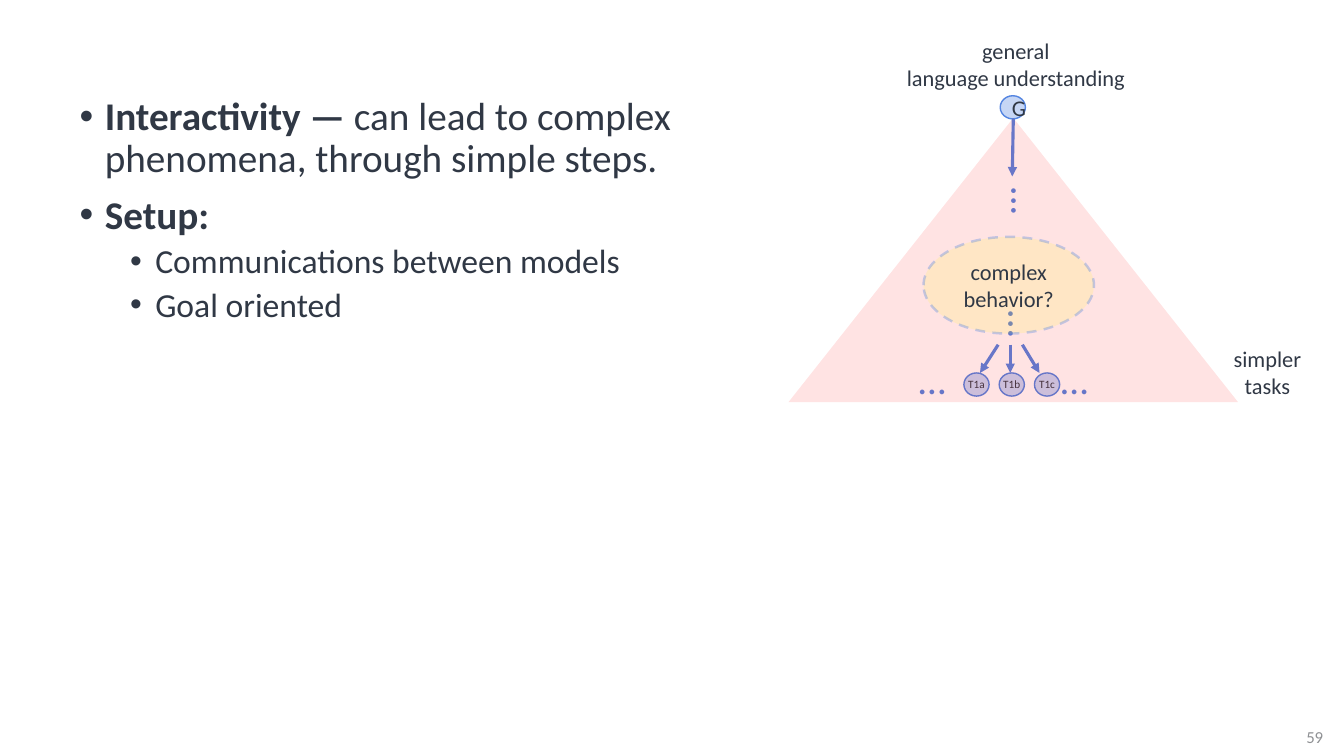
import pptx
import pptx.dml.color
import pptx.enum.dml
import pptx.enum.shapes
import pptx.enum.text
import pptx.oxml
import pptx.oxml.ns
import pptx.util
from lxml import etree

PX = 9144  # EMU in one px, 100 px to the inch
FONT = "Calibri"
INK, GREY = "303845", "8F9194"
BLUE, ARROW_BLUE, PALE_BLUE = "5485E1", "5685E1", "C6D6F5"
RED, YELLOW = "FF0000", "FFFF00"
SHAPE = pptx.enum.shapes.MSO_SHAPE
ANCHOR = pptx.enum.text.MSO_ANCHOR


def px(*lengths):
    return [pptx.util.Emu(n * PX) for n in lengths]


def rgb(color):
    return pptx.dml.color.RGBColor.from_string(color)


def add_xml(parent, tag, **attrs):
    child = etree.SubElement(parent, pptx.oxml.ns.qn(tag))
    for key, value in attrs.items():
        child.set(key, str(value))
    return child


def set_alpha(fill, percent):
    """Make a solid fill, of a shape or a line, see-through."""
    for color in fill._xPr.iter(pptx.oxml.ns.qn("a:srgbClr")):
        if color.getparent().getparent() is fill._xPr:
            add_xml(color, "a:alpha", val=percent * 1000)


def set_font(font, size, color=INK, bold=None):
    font.name, font.size, font.bold = FONT, pptx.util.Pt(size), bold
    font.color.rgb = rgb(color)


def write(sp, text, size, color=INK, anchor=ANCHOR.TOP):
    tf = sp.text_frame
    tf.word_wrap = True
    tf.vertical_anchor = anchor
    p = tf.paragraphs[0]
    p.text = text
    p.alignment = pptx.enum.text.PP_ALIGN.CENTER
    set_font(p.font, size, color)


def add_label(slide, box, text, size=16, color=INK, anchor=ANCHOR.TOP):
    sp = slide.shapes.add_textbox(*px(*box))
    write(sp, text, size, color, anchor)
    return sp


def add_dots(slide, left, top, rotation=0):
    sp = add_label(slide, (left, top, 69, 60), "…", 28, BLUE)
    sp.rotation = rotation


def add_filled(slide, kind, box, color, alpha=100):
    sp = slide.shapes.add_shape(kind, *px(*box))
    sp.shadow.inherit = False
    sp.fill.solid()
    sp.fill.fore_color.rgb = rgb(color)
    if alpha < 100:
        set_alpha(sp.fill, alpha)
    sp.line.fill.background()
    return sp


def set_line(line, color, width):
    line.color.rgb = rgb(color)
    line.width = pptx.util.Pt(width)


def add_node(slide, left, top, text, size):
    sp = add_filled(slide, SHAPE.OVAL, (left, top, 25, 23), PALE_BLUE)
    set_line(sp.line, BLUE, 1)
    write(sp, text, size, anchor=ANCHOR.MIDDLE)
    return sp


def add_task(slide, left, text):
    tf = add_node(slide, left, 370, text, 8).text_frame
    tf.margin_left = tf.margin_right = tf.margin_top = tf.margin_bottom = 0


def add_arrow(slide, x1, y1, x2, y2):
    line = slide.shapes.add_connector(
        pptx.enum.shapes.MSO_CONNECTOR.STRAIGHT, *px(x1, y1, x2, y2))
    set_line(line.line, ARROW_BLUE, 2.25)
    add_xml(line.line._get_or_add_ln(), "a:tailEnd", type="triangle")
    add_xml(line._element.spPr, "a:effectLst")


def add_bullet(p, level, runs):
    """Fill a list paragraph from (text, bold) runs."""
    p.level = level
    pPr = p._p.get_or_add_pPr()
    left, hang = px(75 if level else 25, -25)
    pPr.set("marL", str(left))
    pPr.set("indent", str(hang))
    add_xml(pPr, "a:buFont", typeface="Arial")
    add_xml(pPr, "a:buChar", char="•")
    p.line_spacing = 0.9
    set_font(p.font, 24 if level else 28)
    for text, bold in runs:
        # add_run keeps a line break only through the paragraph helper
        first, *rest = text.split("\v")
        r = p.add_run()
        r.text, r.font.bold = first, bold
        for line in rest:
            p.add_line_break()
            r = p.add_run()
            r.text, r.font.bold = line, bold


def add_list(slide):
    body = slide.placeholders[1]
    body.left, body.top, body.width, body.height = px(69, 91, 1173, 476)
    tf = body.text_frame
    tf.auto_size = pptx.enum.text.MSO_AUTO_SIZE.NONE
    items = [
        (0, [("Interactivity — ", True),
             ("can lead to complex \vphenomena, through simple steps.", False)]),
        (0, [("Setup:", True)]),
        (1, [("Communications between models", False)]),
        (1, [("Goal oriented", False)]),
    ]
    for i, (level, runs) in enumerate(items):
        p = tf.add_paragraph() if i else tf.paragraphs[0]
        add_bullet(p, level, runs)
        p.space_before = pptx.util.Pt((5 if level else 10) if i else 0)


def add_pyramid(slide):
    add_label(slide, (878, 32, 259, 64), "general\vlanguage understanding")
    add_label(slide, (1182, 338, 150, 64), "simpler\vtasks")
    add_node(slide, 992, 95, "G", 16)
    for left in (890, 1031):
        add_dots(slide, left, 348)
    for i, letter in enumerate("abc"):
        add_task(slide, 956 + 35 * i, "T1" + letter)
    add_dots(slide, 959, 169, 270)
    add_dots(slide, 956, 291, 270)
    add_arrow(slide, 1005, 118, 1004, 175)
    for start, end in ((990, 972), (1002, 1002), (1014, 1031)):
        add_arrow(slide, start, 342, end, 370)
    add_filled(slide, SHAPE.ISOSCELES_TRIANGLE, (782, 117, 446, 282), RED, 11)
    behavior = add_filled(slide, SHAPE.OVAL, (916, 235, 169, 96), YELLOW, 13)
    set_line(behavior.line, BLUE, 1.75)
    set_alpha(behavior.line.fill, 34)
    behavior.line.dash_style = pptx.enum.dml.MSO_LINE.DASH
    write(behavior, "complex behavior?", 16, anchor=ANCHOR.MIDDLE)


def main():
    prs = pptx.Presentation()
    prs.slide_width, prs.slide_height = px(1333, 750)
    slide = prs.slides.add_slide(prs.slide_layouts[1])
    title = slide.shapes.title._element
    title.getparent().remove(title)
    add_label(slide, (1275, 711, 58, 40), "59", 12, GREY, ANCHOR.MIDDLE)
    add_pyramid(slide)
    add_list(slide)
    prs.save("out.pptx")


if __name__ == "__main__":
    main()
